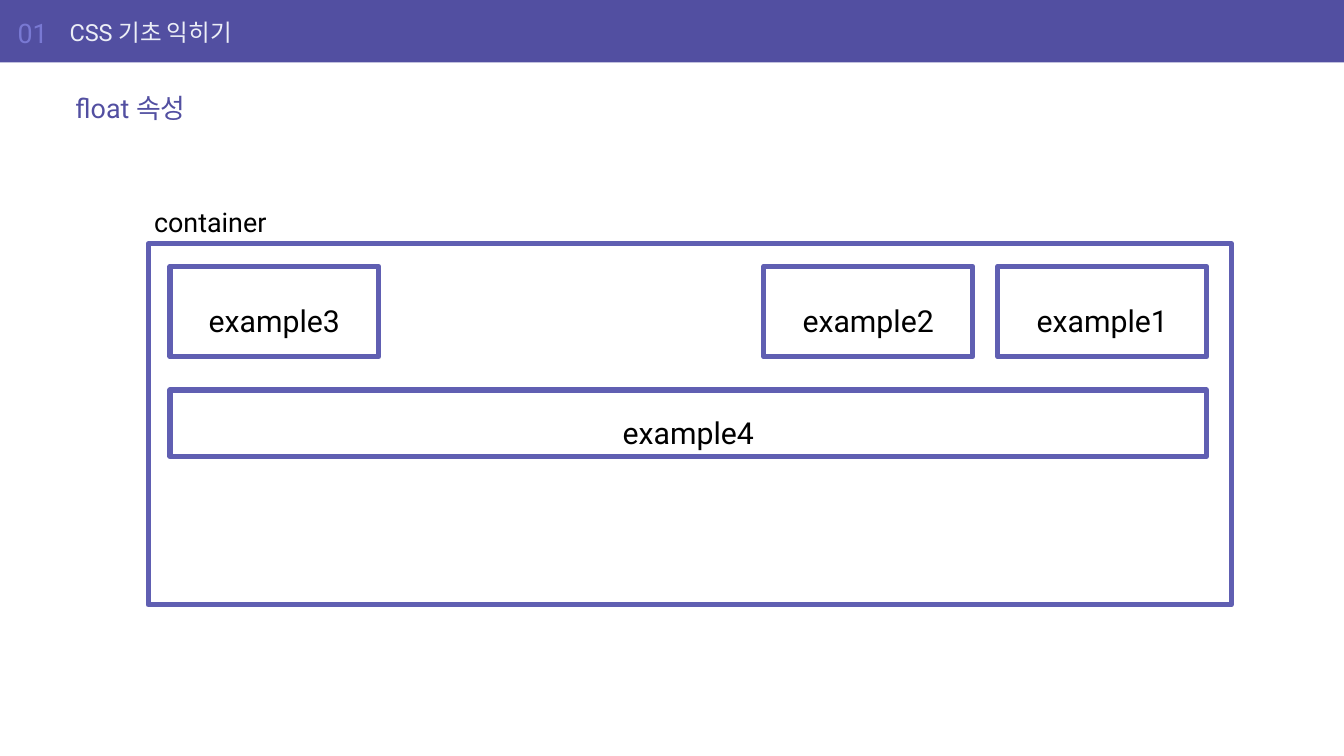
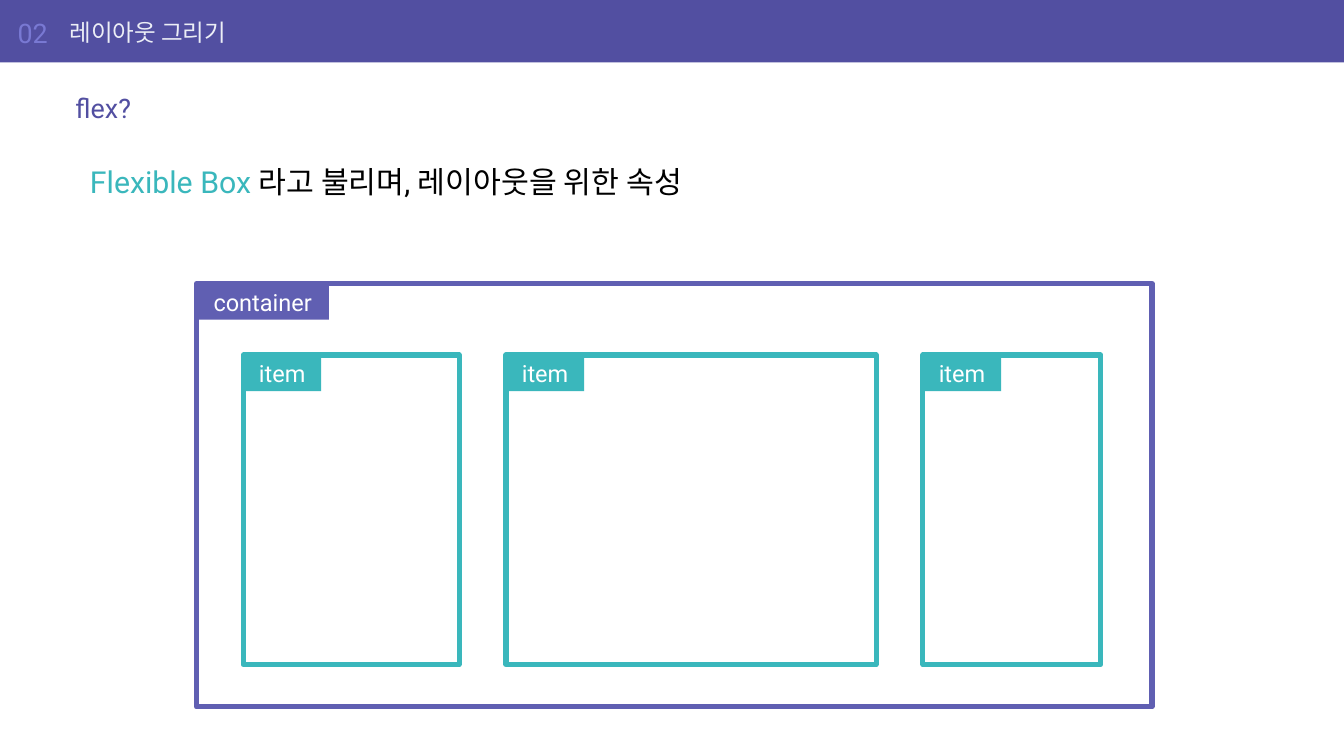
from pptx import Presentation
from pptx.dml.color import RGBColor
from pptx.enum.shapes import MSO_SHAPE
from pptx.enum.text import MSO_ANCHOR, MSO_AUTO_SIZE, PP_ALIGN
from pptx.util import Cm, Pt

INDIGO = RGBColor(0x52, 0x4F, 0xA1)
VIOLET = RGBColor(0x60, 0x5F, 0xB2)
LILAC = RGBColor(0x79, 0x79, 0xD3)
PALE = RGBColor(0xEC, 0xEE, 0xF6)
TEAL = RGBColor(0x3A, 0xB7, 0xBC)
BLACK = RGBColor(0, 0, 0)
WHITE = RGBColor(0xFF, 0xFF, 0xFF)

FONT = "Roboto"
SLIDE_W, SLIDE_H = 56.44, 31.75
TITLE_ONLY = 5


class Deck:
    """Holds the style and the current slide; lengths are in centimetres."""

    def __init__(self):
        self.prs = Presentation()
        self.prs.slide_width, self.prs.slide_height = Cm(SLIDE_W), Cm(SLIDE_H)
        self.s = None

    def add_slide(self, number, chapter, title):
        layout = self.prs.slide_layouts[TITLE_ONLY]
        self.s = self.prs.slides.add_slide(layout)
        self.rect(0, 0, SLIDE_W, 2.62, fill=INDIGO)
        self.text(0.74, 0.38, 2.2, 1.96, [(number, LILAC)], 32,
                  anchor=MSO_ANCHOR.MIDDLE, inset=(0, 0.13))
        self.text(2.92, 0.38, 47.7, 1.96, [(chapter, PALE)], 28,
                  anchor=MSO_ANCHOR.MIDDLE, inset=(0, 0.13))
        sp = self.s.shapes.title
        sp.left, sp.top, sp.width, sp.height = Cm(2.92), Cm(3.56), Cm(50.6), Cm(1.96)
        self.set_text(sp, [(title, INDIGO)], 32, anchor=MSO_ANCHOR.MIDDLE)

    def set_text(self, sp, parts, size, align=PP_ALIGN.LEFT, anchor=MSO_ANCHOR.TOP,
                 inset=(0.25, 0.13), spacing=None):
        """Fill a shape with one paragraph of (text, colour) parts."""
        tf = sp.text_frame
        tf.word_wrap = True
        tf.auto_size = MSO_AUTO_SIZE.NONE
        tf.vertical_anchor = anchor
        tf.margin_left, tf.margin_top = Cm(inset[0]), Cm(inset[1])
        tf.margin_right, tf.margin_bottom = tf.margin_left, tf.margin_top
        p = tf.paragraphs[0]
        p.alignment = align
        if spacing:
            p.line_spacing = spacing
        for text, color in parts:
            r = p.add_run()
            r.text = text
            r.font.name, r.font.size = FONT, Pt(size)
            r.font.color.rgb = color

    def text(self, x, y, w, h, parts, size, **style):
        sp = self.s.shapes.add_textbox(Cm(x), Cm(y), Cm(w), Cm(h))
        self.set_text(sp, parts, size, **style)

    def rect(self, x, y, w, h, fill=None, line=None):
        sp = self.s.shapes.add_shape(MSO_SHAPE.RECTANGLE, Cm(x), Cm(y), Cm(w), Cm(h))
        sp.shadow.inherit = False
        if fill is None:
            sp.fill.background()
        else:
            sp.fill.solid()
            sp.fill.fore_color.rgb = fill
        if line is None:
            sp.line.fill.background()
        else:
            sp.line.color.rgb = line
            sp.line.width = Pt(6)
        return sp

    def label(self, sp, text, color, size, spacing=None):
        self.set_text(sp, [(text, color)], size, PP_ALIGN.CENTER, MSO_ANCHOR.MIDDLE,
                      (0.18, 0.18), spacing)

    def example(self, x, y, w, h, name):
        self.label(self.rect(x, y, w, h, line=VIOLET), name, BLACK, 36, 1.5)

    def tabbed_box(self, x, y, w, h, name, tab_w, color):
        """Outlined box with its name on a filled tab in the top left corner."""
        self.rect(x, y, w, h, line=color)
        self.label(self.rect(x, y, tab_w, 1.52, fill=color), name, WHITE, 28)


def float_slide(deck):
    deck.add_slide("01", "CSS 기초 익히기", "float 속성")
    deck.rect(6.22, 10.24, 45.49, 15.16, line=VIOLET)
    deck.text(6.22, 7.82, 6.32, 2.64, [("container", BLACK)], 32, spacing=1.5)
    left, right, top = 7.14, 50.67, 11.18
    box_w, box_h, gap = 8.76, 3.81, 1.07
    first = right - box_w
    second = first - gap - box_w
    for number, x in enumerate((first, second, left), 1):
        deck.example(x, top, box_w, box_h, f"example{number}")
    deck.example(left, 16.38, right - left, 2.79, "example4")


def flex_slide(deck):
    deck.add_slide("02", "레이아웃 그리기", "flex?")
    deck.text(3.53, 6.71, 50.09, 2.72,
              [("Flexible Box ", TEAL), ("라고 불리며, 레이아웃을 위한 속성", BLACK)], 36)
    deck.tabbed_box(8.25, 11.91, 40.13, 17.78, "container", 5.56, VIOLET)
    x, gap = 10.21, 1.97
    for w in (9.07, 15.54, 7.47):
        deck.tabbed_box(x, 14.91, w, 13, "item", 3.28, TEAL)
        x += w + gap


def main():
    deck = Deck()
    float_slide(deck)
    flex_slide(deck)
    deck.prs.save("out.pptx")


if __name__ == "__main__":
    main()
